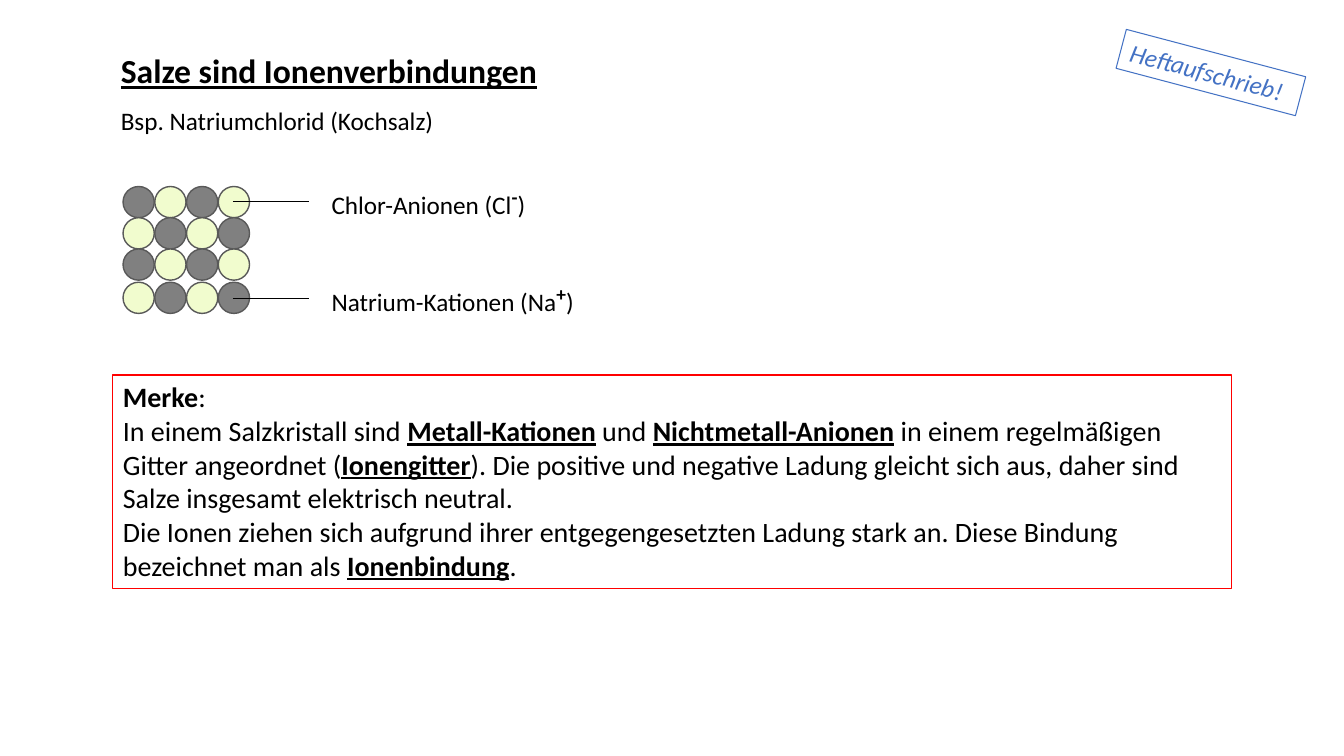
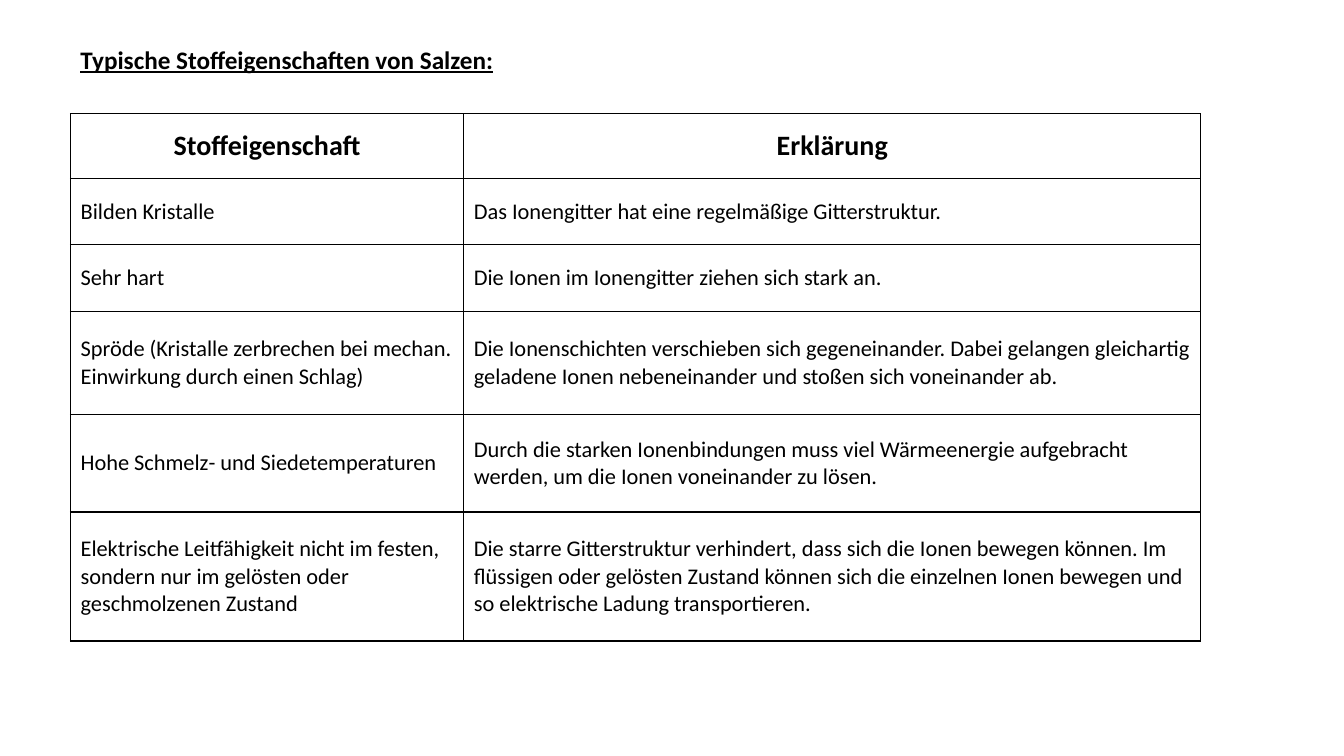
from lxml import etree
from pptx import Presentation
from pptx.dml.color import RGBColor
from pptx.enum import shapes, text
from pptx.oxml import ns
from pptx.util import Inches, Pt

COLORS = {
    "ink": "000000",
    "sodium": "808080",
    "chlorine": "F1FCCE",
    "ion_edge": "595959",
    "rule": "FF0000",
    "note": "4472C4",
}
FONT = "Calibri"
BORDER_WIDTH = 1

REMEMBER = [
    [("Merke", "b"), (":", "")],
    [
        ("In einem Salzkristall sind ", ""),
        ("Metall-Kationen", "bu"),
        (" und ", ""),
        ("Nichtmetall-Anionen", "bu"),
        (" in einem regelmäßigen Gitter angeordnet (", ""),
        ("Ionengitter", "bu"),
        ("). Die positive und negative Ladung gleicht sich aus, "
         "daher sind Salze insgesamt elektrisch neutral.", ""),
    ],
    [
        ("Die Ionen ziehen sich aufgrund ihrer entgegengesetzten Ladung stark an. "
         "Diese Bindung bezeichnet man als ", ""),
        ("Ionenbindung", "bu"),
        (".", ""),
    ],
]

PROPERTIES = [
    ("Stoffeigenschaft", "Erklärung"),
    ("Bilden Kristalle", "Das Ionengitter hat eine regelmäßige Gitterstruktur."),
    ("Sehr hart", "Die Ionen im Ionengitter ziehen sich stark an."),
    ("Spröde (Kristalle zerbrechen bei mechan. Einwirkung durch einen Schlag)",
     "Die Ionenschichten verschieben sich gegeneinander. Dabei gelangen gleichartig "
     "geladene Ionen nebeneinander und stoßen sich voneinander ab."),
    ("Hohe Schmelz- und Siedetemperaturen",
     "Durch die starken Ionenbindungen muss viel Wärmeenergie aufgebracht werden, "
     "um die Ionen voneinander zu lösen."),
    ("Elektrische Leitfähigkeit nicht im festen, sondern nur im gelösten oder "
     "geschmolzenen Zustand",
     "Die starre Gitterstruktur verhindert, dass sich die Ionen bewegen können. "
     "Im flüssigen oder gelösten Zustand können sich die einzelnen Ionen bewegen "
     "und so elektrische Ladung transportieren."),
]
COLUMN_WIDTHS = [3.9, 7.31]
ROW_HEIGHTS = [0.64, 0.66, 0.66, 1.02, 0.97, 1.28]


def rgb(name):
    return RGBColor.from_string(COLORS[name])


def add_run(paragraph, words, style, size, color="ink"):
    run = paragraph.add_run()
    run.text = words
    font = run.font
    font.name = FONT
    font.size = Pt(size)
    font.color.rgb = rgb(color)
    font.bold = "b" in style
    font.italic = "i" in style
    font.underline = "u" in style
    if "^" in style:
        run._r.get_or_add_rPr().set("baseline", "30000")
        font.size = Pt(24)


def fill_frame(frame, paragraphs, size, color="ink"):
    frame.word_wrap = True
    frame.vertical_anchor = text.MSO_ANCHOR.TOP
    for index, runs in enumerate(paragraphs):
        paragraph = frame.add_paragraph() if index else frame.paragraphs[0]
        paragraph.alignment = text.PP_ALIGN.LEFT
        for words, style in runs:
            add_run(paragraph, words, style, size, color)


def add_text(slide, box, runs, size=18):
    shape = slide.shapes.add_textbox(*map(Inches, box))
    fill_frame(shape.text_frame, [runs], size)


def add_title(slide, box, words, size):
    add_text(slide, box, [(words, "bu")], size)


def add_frame(slide, box, paragraphs, size, line, color="ink", rotation=0):
    shape = slide.shapes.add_shape(shapes.MSO_SHAPE.RECTANGLE, *map(Inches, box))
    shape.shadow.inherit = False
    shape.fill.background()
    shape.line.color.rgb = rgb(line)
    shape.line.width = Pt(0.75)
    shape.rotation = rotation
    fill_frame(shape.text_frame, paragraphs, size, color)


def add_ion(slide, left, top, diameter, kind):
    ion = slide.shapes.add_shape(
        shapes.MSO_SHAPE.OVAL, *map(Inches, (left, top, diameter, diameter)))
    ion.shadow.inherit = False
    ion.fill.solid()
    ion.fill.fore_color.rgb = rgb(kind)
    ion.line.color.rgb = rgb("ion_edge")
    ion.line.width = Pt(1)


def add_leader(slide, left, top, length):
    leader = slide.shapes.add_connector(
        shapes.MSO_CONNECTOR.STRAIGHT,
        *map(Inches, (left, top, left + length, top)))
    leader.line.color.rgb = rgb("ink")
    leader.line.width = Pt(0.5)
    etree.SubElement(leader._element.spPr, ns.qn("a:effectLst"))


def add_lattice(slide, left, top):
    diameter, pitch = 0.31, 0.315
    row_offsets = [0, 0.31, 0.62, 0.95]
    for row, offset in enumerate(row_offsets):
        for column in range(4):
            kind = ("sodium", "chlorine")[(row + column) % 2]
            add_ion(slide, left + column * pitch, top + offset, diameter, kind)
    labels = [
        (0.15, -0.1, 0.49, "Chlor-Anionen (Cl", "-"),
        (1.11, 0.86, 0.4, "Natrium-Kationen (Na", "+"),
    ]
    for line_offset, label_offset, height, name, charge in labels:
        add_leader(slide, left + 1.09, top + line_offset, 0.75)
        add_text(slide, (left + 1.97, top + label_offset, 3.05, height),
                 [(name, ""), (charge, "b^"), (")", "")])


def add_borders(cell):
    properties = cell._tc.get_or_add_tcPr()
    for index, side in enumerate(("a:lnL", "a:lnR", "a:lnT", "a:lnB")):
        line = etree.Element(ns.qn(side), w=str(Pt(BORDER_WIDTH)))
        fill = etree.SubElement(line, ns.qn("a:solidFill"))
        etree.SubElement(fill, ns.qn("a:srgbClr"), val=COLORS["ink"])
        properties.insert(index, line)


def add_property_table(slide, left, top):
    box = (left, top, sum(COLUMN_WIDTHS), sum(ROW_HEIGHTS))
    table = slide.shapes.add_table(
        len(ROW_HEIGHTS), len(COLUMN_WIDTHS), *map(Inches, box)).table
    table.first_row = False
    table.horz_banding = False
    for column, width in zip(table.columns, COLUMN_WIDTHS):
        column.width = Inches(width)
    for index, (row, height) in enumerate(zip(table.rows, ROW_HEIGHTS)):
        row.height = Inches(height)
        header = index == 0
        for cell, words in zip(row.cells, PROPERTIES[index]):
            cell.fill.background()
            cell.vertical_anchor = text.MSO_ANCHOR.MIDDLE
            paragraph = cell.text_frame.paragraphs[0]
            paragraph.alignment = (
                text.PP_ALIGN.CENTER if header else text.PP_ALIGN.LEFT)
            add_run(paragraph, words, "b" if header else "", 20 if header else 16)
            add_borders(cell)


def build_ionic_slide(slide):
    add_title(slide, (1.1, 0.45, 8.82, 0.5), "Salze sind Ionenverbindungen", 24)
    add_text(slide, (1.1, 1, 3.87, 0.4), [("Bsp. Natriumchlorid (Kochsalz)", "")])
    add_lattice(slide, 1.22, 1.85)
    add_frame(slide, (1.12, 3.72, 11.09, 2.12), REMEMBER, 20, "rule")
    add_frame(slide, (11.09, 0.52, 1.84, 0.4), [[("Heftaufschrieb!", "i")]],
              18, "note", "note", 14.8)


def build_property_slide(slide):
    add_property_table(slide, 0.7, 1.13)
    add_title(slide, (0.7, 0.39, 9.23, 0.42),
              "Typische Stoffeigenschaften von Salzen:", 18)


def main():
    presentation = Presentation()
    presentation.slide_width = Inches(13.33)
    presentation.slide_height = Inches(7.5)
    blank = presentation.slide_layouts[6]
    for build in (build_ionic_slide, build_property_slide):
        build(presentation.slides.add_slide(blank))
    presentation.save("out.pptx")


if __name__ == "__main__":
    main()
